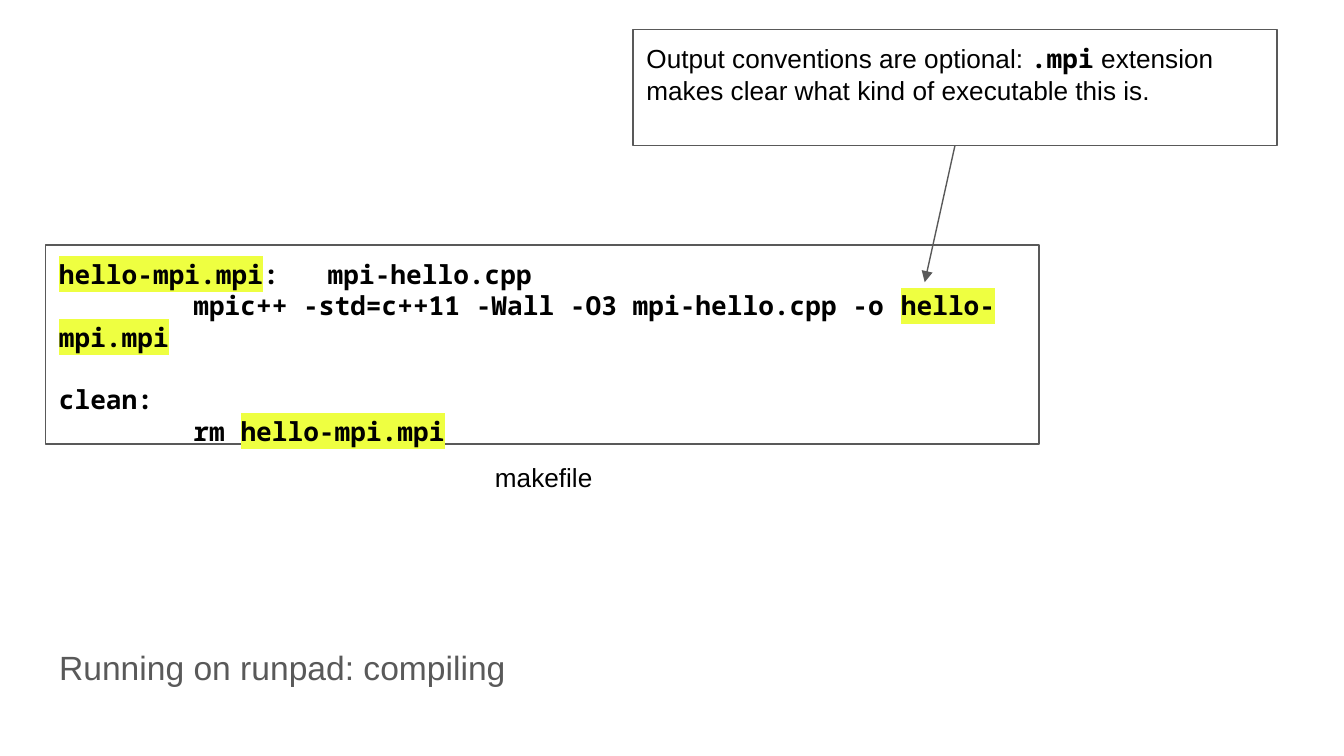
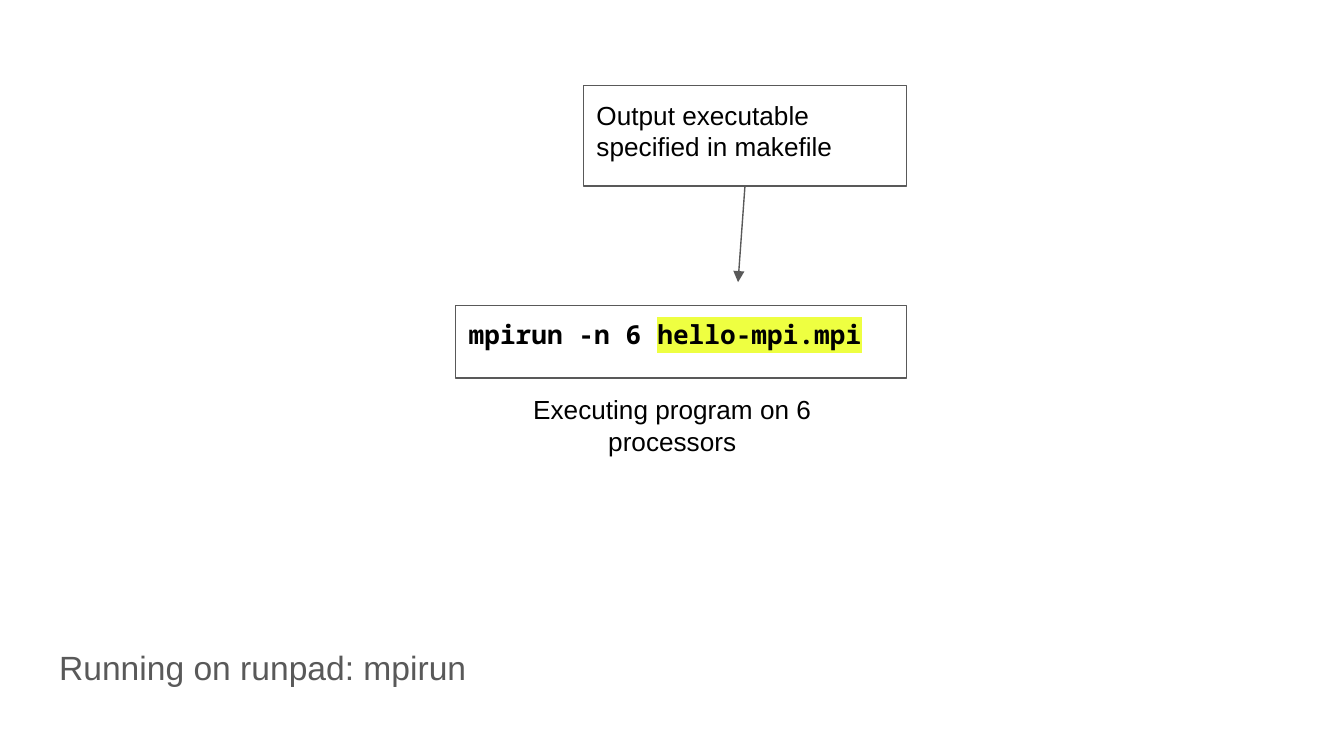
"""Two slides on compiling and running an MPI program."""
from lxml.etree import SubElement
from pptx import Presentation
from pptx.dml.color import RGBColor
from pptx.enum.shapes import MSO_CONNECTOR, MSO_SHAPE
from pptx.enum.text import MSO_ANCHOR, MSO_AUTO_SIZE, PP_ALIGN
from pptx.oxml import parse_xml
from pptx.oxml.ns import nsdecls, qn
from pptx.util import Pt

GREY, BLACK, YELLOW = "595959", "000000", "EEFF41"
SANS, MONO = "Arial", "Noto Sans Mono"
TEXT_SIZE, TITLE_SIZE, INSET, TAB, BLANK_LINE = 14, 18, 7.2, 72, 16.8
TITLE_AREA = (24.5, 333.4, 472.3, 47.5)

PLAIN, CODE, MARKED = (SANS, False, None), (MONO, True, None), (MONO, True, YELLOW)
PROGRAM = ("hello-mpi.mpi", MARKED)

SLIDES = [
    {
        "title": "Running on runpad: compiling",
        "code": [
            [PROGRAM, (":\tmpi-hello.cpp", CODE)],
            [("\tmpic++ -std=c++11 -Wall -O3 mpi-hello.cpp -o ", CODE), PROGRAM],
            [("clean:", CODE)],
            [("\trm ", CODE), PROGRAM],
        ],
        "code_area": (24.5, 131.2, 532.1, 106.8),
        "rule_starts": {2},
        "caption": "makefile",
        "caption_area": (25.2, 239.8, 532.1, 38.9),
        "note": [
            ("Output conventions are optional: ", PLAIN),
            (".mpi", CODE),
            (" extension makes clear what kind of executable this is.", PLAIN),
        ],
        "note_area": (339.2, 15.7, 344.9, 62.1),
        "target": (495.4, 151.2),
        "grouped": True,
    },
    {
        "title": "Running on runpad: mpirun",
        "code": [[("mpirun -n 6 ", CODE), PROGRAM]],
        "code_area": (244, 163.6, 241.5, 38.9),
        "rule_starts": set(),
        "caption": "Executing program on 6 processors",
        "caption_area": (247.5, 203.8, 225.4, 38.9),
        "note": [("Output executable specified in makefile", PLAIN)],
        "note_area": (312.5, 45.8, 173.2, 53.8),
        "target": (395.4, 151.2),
        "grouped": False,
    },
]


def points(area):
    return [Pt(length) for length in area]


def color(hex_code):
    return RGBColor.from_string(hex_code)


def style_run(run, style, size=TEXT_SIZE, ink=BLACK):
    font_name, bold, highlight = style
    font = run.font
    font.size, font.bold = Pt(size), bold
    font.color.rgb = color(ink)
    font.name = font_name
    if highlight:
        mark = parse_xml(
            f'<a:highlight {nsdecls("a")}><a:srgbClr val="{highlight}"/></a:highlight>')
        run.font._element.find(qn("a:solidFill")).addnext(mark)


def prepare_frame(frame, anchor=MSO_ANCHOR.TOP):
    frame.word_wrap, frame.auto_size = True, MSO_AUTO_SIZE.NONE
    frame.vertical_anchor = anchor
    frame.margin_left = frame.margin_right = Pt(INSET)
    frame.margin_top = frame.margin_bottom = Pt(INSET)


def set_tabs(paragraph):
    stops = SubElement(paragraph._p.get_or_add_pPr(), qn("a:tabLst"))
    for column in (1, 2):
        SubElement(stops, qn("a:tab"), pos=str(Pt(TAB * column)), algn="l")


def add_box(shapes, area, lines, rule_starts=()):
    box = shapes.add_shape(MSO_SHAPE.RECTANGLE, *points(area))
    box.shadow.inherit = False
    box.fill.background()
    box.line.color.rgb, box.line.width = color(GREY), Pt(0.75)
    frame = box.text_frame
    prepare_frame(frame)
    for number, line in enumerate(lines):
        paragraph = frame.add_paragraph() if number else frame.paragraphs[0]
        paragraph.alignment = PP_ALIGN.LEFT
        if number in rule_starts:
            paragraph.space_before = Pt(BLANK_LINE)
        if any("\t" in text for text, _ in line):
            set_tabs(paragraph)
        for text, style in line:
            run = paragraph.add_run()
            run.text = text
            style_run(run, style)
    return box


def add_arrow(shapes, note, target):
    start = (note.left + note.width // 2, note.top + note.height)
    arrow = shapes.add_connector(MSO_CONNECTOR.STRAIGHT, *start, *points(target))
    arrow.begin_connect(note, 2)
    arrow.line.color.rgb, arrow.line.width = color(GREY), Pt(0.75)
    SubElement(arrow.line._get_or_add_ln(), qn("a:tailEnd"), type="triangle")
    SubElement(arrow._element.spPr, qn("a:effectLst"))


def add_title(slide, text):
    title = slide.shapes.title
    title.left, title.top, title.width, title.height = points(TITLE_AREA)
    prepare_frame(title.text_frame, MSO_ANCHOR.MIDDLE)
    title.text_frame.text = text
    paragraph = title.text_frame.paragraphs[0]
    paragraph.alignment = PP_ALIGN.LEFT
    style_run(paragraph.runs[0], PLAIN, TITLE_SIZE, GREY)


def add_caption(slide, area, text):
    caption = slide.shapes.add_textbox(*points(area))
    prepare_frame(caption.text_frame)
    caption.text_frame.text = text
    paragraph = caption.text_frame.paragraphs[0]
    paragraph.alignment = PP_ALIGN.CENTER
    style_run(paragraph.runs[0], PLAIN)


def main():
    deck = Presentation()
    deck.slide_width, deck.slide_height = Pt(720), Pt(405)
    for content in SLIDES:
        slide = deck.slides.add_slide(deck.slide_layouts[5])
        add_title(slide, content["title"])
        add_box(slide.shapes, content["code_area"], content["code"], content["rule_starts"])
        add_caption(slide, content["caption_area"], content["caption"])
        shapes = slide.shapes
        if content["grouped"]:
            shapes = shapes.add_group_shape().shapes
        note = add_box(shapes, content["note_area"], [content["note"]])
        add_arrow(shapes, note, content["target"])
    deck.save("out.pptx")


if __name__ == "__main__":
    main()
